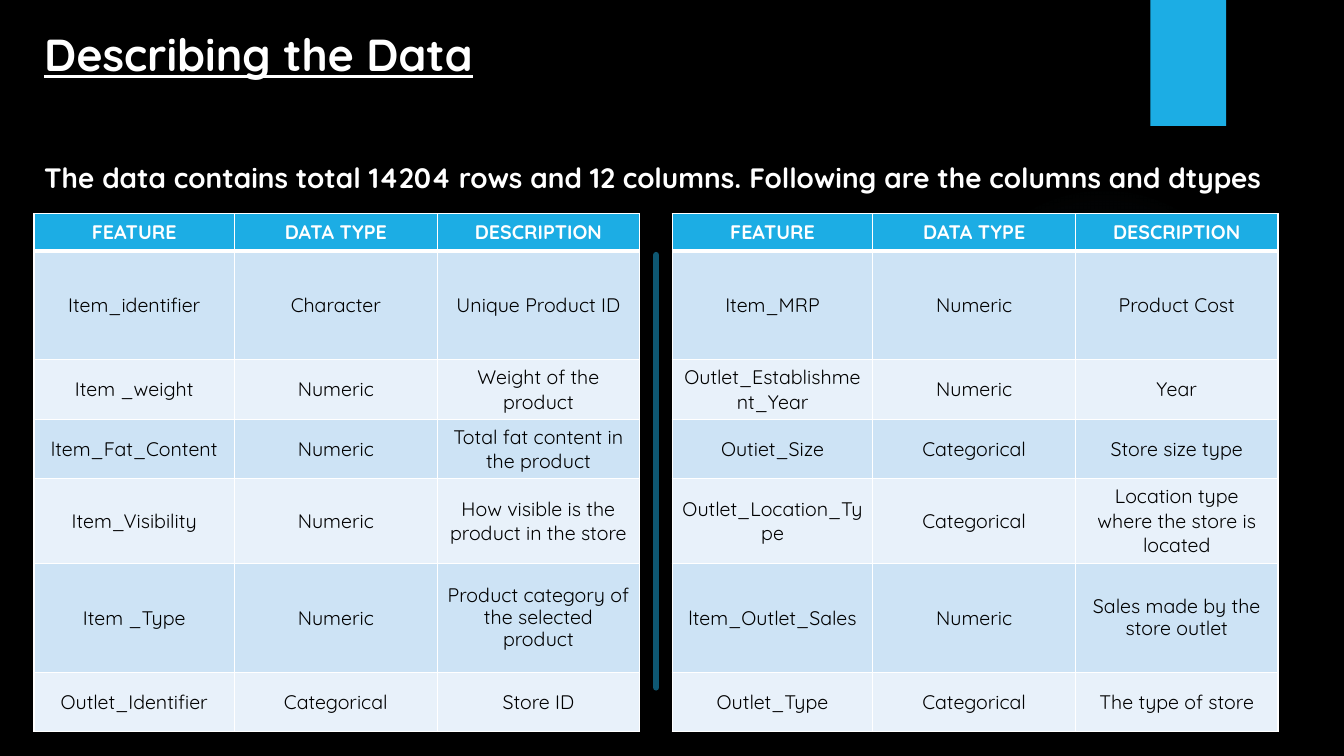
from lxml.etree import SubElement
from pptx import Presentation
from pptx.dml.color import RGBColor
from pptx.enum.shapes import MSO_CONNECTOR, MSO_SHAPE
from pptx.enum.text import MSO_ANCHOR, PP_ALIGN
from pptx.oxml import parse_xml
from pptx.oxml.ns import nsdecls, qn
from pptx.util import Pt

TITLE = "Describing the Data"
SUMMARY = "The data contains total 14204 rows and 12 columns. Following are the columns and dtypes"
HEADER = ("FEATURE", "DATA TYPE", "DESCRIPTION")
ITEM_FEATURES = [
    ("Item_identifier", "Character", "Unique Product ID"),
    ("Item _weight", "Numeric", "Weight of the product"),
    ("ltem_Fat_Content", "Numeric", "Total fat content in the product"),
    ("Item_Visibility", "Numeric", "How visible is the product in the store"),
    ("Item _Type", "Numeric", "Product category of the selected product"),
    ("Outlet_Identifier", "Categorical", "Store ID"),
]
OUTLET_FEATURES = [
    ("Item_MRP", "Numeric", "Product Cost"),
    ("Outlet_Establishment_Year", "Numeric", "Year"),
    ("Outiet_Size", "Categorical", "Store size type"),
    ("Outlet_Location_Type", "Categorical", "Location type where the store is located"),
    ("ltem_Outlet_Sales", "Numeric", "Sales made by the store outlet"),
    ("Outlet_Type", "Categorical", "The type of store"),
]

FONT = "Quicksand"
BLACK = RGBColor(0x00, 0x00, 0x00)
WHITE = RGBColor(0xFF, 0xFF, 0xFF)
ACCENT = RGBColor(0x1C, 0xAD, 0xE4)
DIVIDER = RGBColor(0x0E, 0x57, 0x72)
GLOW = RGBColor(0x70, 0xA1, 0xC0)
BANDS = (RGBColor(0xE8, 0xF1, 0xFA), RGBColor(0xCD, 0xE3, 0xF5))
GLOW_STOPS = ((0, 7), (36, 6), (69, 0))

TABLE_TOP = 152.64
TABLE_LEFTS = (24.3, 480.24)
COLUMN_WIDTHS = (143.28, 144.72, 144.72)
ROW_HEIGHTS = (26.64, 77.76, 42.48, 42.48, 60.48, 77.76, 42.48)
TIGHT_ROWS = (1, 5)


def style_runs(paragraph, size, color, bold=False, underline=False):
    for run in paragraph.runs:
        run.font.name = FONT
        run.font.size = Pt(size)
        run.font.color.rgb = color
        run.font.bold = bold
        run.font.underline = underline


def add_text(slide, text, left, top, width, height, size, underline=False):
    shape = slide.shapes.add_textbox(Pt(left), Pt(top), Pt(width), Pt(height))
    shape.text_frame.word_wrap = True
    shape.text_frame.text = text
    paragraph = shape.text_frame.paragraphs[0]
    style_runs(paragraph, size, WHITE, True, underline)
    return paragraph


def add_plain_shape(slide, kind, left, top, width, height):
    shape = slide.shapes.add_shape(kind, Pt(left), Pt(top), Pt(width), Pt(height))
    shape.shadow.inherit = False
    shape.line.fill.background()
    shape.fill.solid()
    shape.fill.fore_color.rgb = ACCENT
    return shape


def add_glow(slide):
    shape = add_plain_shape(slide, MSO_SHAPE.OVAL, 677.52, 131.76, 221.76, 221.76)
    stops = "".join(
        f'<a:gs pos="{position * 1000}"><a:srgbClr val="{GLOW}">'
        f'<a:alpha val="{alpha * 1000}"/></a:srgbClr></a:gs>'
        for position, alpha in GLOW_STOPS
    )
    gradient = parse_xml(
        f'<a:gradFill {nsdecls("a")}><a:gsLst>{stops}</a:gsLst><a:path path="circle">'
        '<a:fillToRect l="50000" t="50000" r="50000" b="50000"/></a:path></a:gradFill>'
    )
    properties = shape.element.spPr
    properties.replace(properties.find(qn("a:solidFill")), gradient)


def set_borders(cell, top, bottom):
    properties = cell._tc.get_or_add_tcPr()
    borders = (("L", 1), ("R", 1), ("T", top), ("B", bottom))
    for index, (side, width) in enumerate(borders):
        border = parse_xml(
            f'<a:ln{side} {nsdecls("a")} w="{Pt(width)}"><a:solidFill>'
            f'<a:srgbClr val="{WHITE}"/></a:solidFill></a:ln{side}>'
        )
        properties.insert(index, border)


def add_feature_table(slide, left, features):
    rows = [HEADER] + features
    frame = slide.shapes.add_table(
        len(rows), len(HEADER), Pt(left), Pt(TABLE_TOP),
        Pt(sum(COLUMN_WIDTHS)), Pt(sum(ROW_HEIGHTS)),
    )
    table = frame.table
    table.horz_banding = False
    for column, width in zip(table.columns, COLUMN_WIDTHS):
        column.width = Pt(width)
    for row_index, values in enumerate(rows):
        table.rows[row_index].height = Pt(ROW_HEIGHTS[row_index])
        is_header = row_index == 0
        for column_index, value in enumerate(values):
            cell = table.cell(row_index, column_index)
            cell.text_frame.text = value
            cell.vertical_anchor = MSO_ANCHOR.MIDDLE
            cell.fill.solid()
            cell.fill.fore_color.rgb = ACCENT if is_header else BANDS[row_index % 2]
            set_borders(cell, 3 if row_index == 1 else 1, 3 if is_header else 1)
            paragraph = cell.text_frame.paragraphs[0]
            paragraph.alignment = PP_ALIGN.CENTER
            style_runs(paragraph, 14, WHITE if is_header else BLACK, is_header)
            if row_index in TIGHT_ROWS and column_index == 2:
                paragraph.line_spacing = 0.9
    return table


def add_divider(slide):
    line = slide.shapes.add_connector(
        MSO_CONNECTOR.STRAIGHT, Pt(468.72), Pt(182.16), Pt(468.72), Pt(491.04)
    )
    line.line.color.rgb = DIVIDER
    line.line.width = Pt(4.5)
    line.line._get_or_add_ln().set("cap", "rnd")
    SubElement(line.element.spPr, qn("a:effectLst"))


def main():
    presentation = Presentation()
    presentation.slide_width = Pt(960)
    presentation.slide_height = Pt(540)
    slide = presentation.slides.add_slide(presentation.slide_layouts[6])
    slide.background.fill.solid()
    slide.background.fill.fore_color.rgb = BLACK

    add_glow(slide)
    add_plain_shape(slide, MSO_SHAPE.RECTANGLE, 821.8, 0, 54, 90)
    add_text(slide, TITLE, 24.48, 15.84, 799.2, 80.64, 32, underline=True)
    summary = add_text(slide, SUMMARY, 24.48, 113.76, 951.12, 55.44, 20)
    summary.line_spacing = 0.9
    add_divider(slide)
    add_feature_table(slide, TABLE_LEFTS[0], ITEM_FEATURES)
    outlet_table = add_feature_table(slide, TABLE_LEFTS[1], OUTLET_FEATURES)
    outlet_table.cell(5, 2).text_frame.paragraphs[0].space_before = Pt(10)

    presentation.save("out.pptx")


if __name__ == "__main__":
    main()
